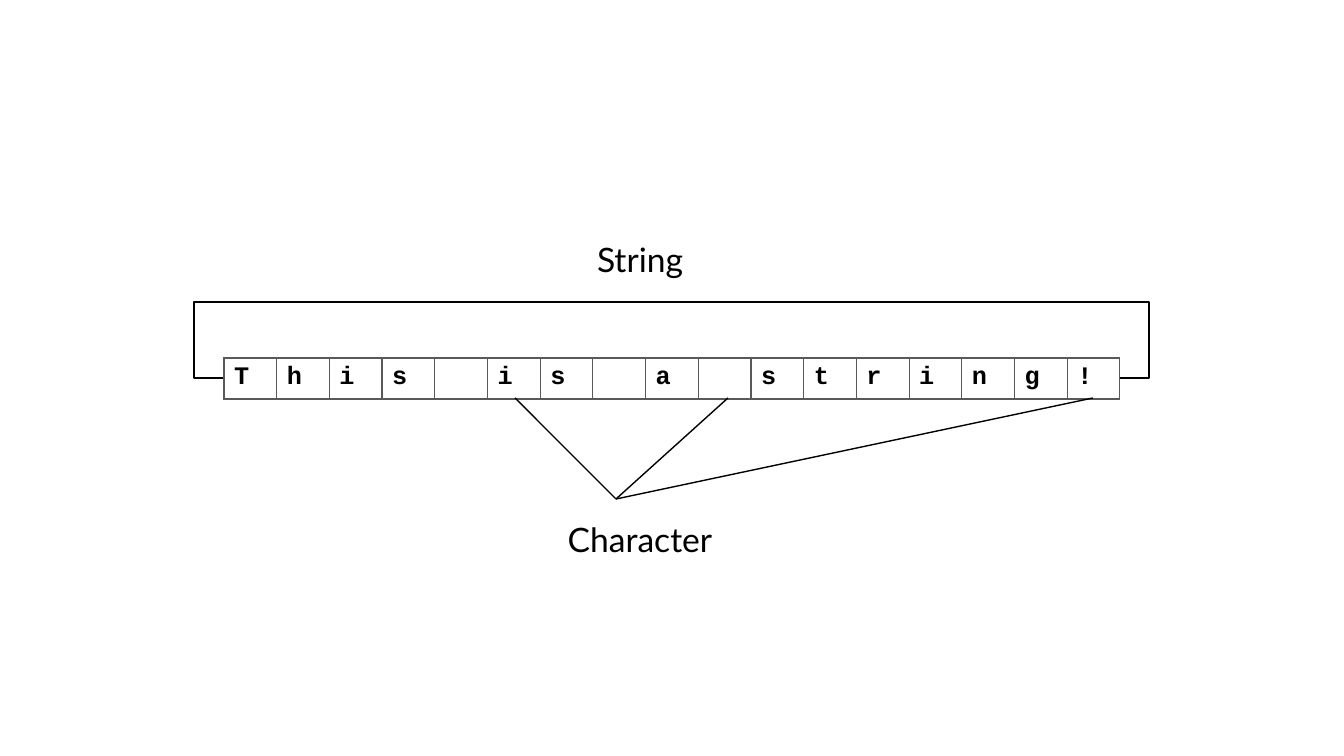
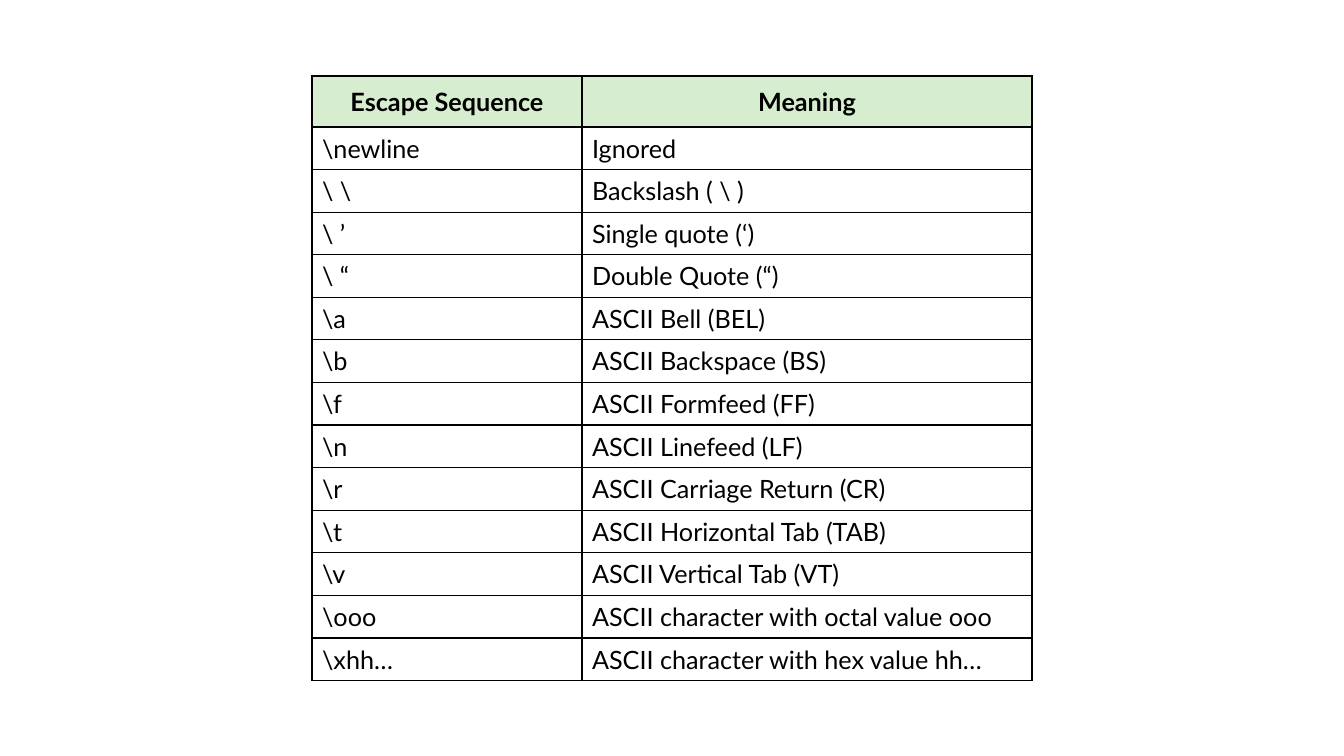
from dataclasses import dataclass

from lxml.etree import SubElement
from pptx import Presentation
from pptx.dml.color import RGBColor
from pptx.enum.shapes import MSO_CONNECTOR, MSO_SHAPE
from pptx.enum.text import MSO_ANCHOR, PP_ALIGN
from pptx.oxml.ns import qn
from pptx.util import Pt


@dataclass(frozen=True)
class Theme:
    black: str = "000000"
    white: str = "FFFFFF"
    grey: str = "595959"
    green: str = "D6EECF"
    font: str = "Lato"
    code_font: str = "Courier New"
    label_size: int = 24
    cell_size: int = 18
    line_width: int = 1


theme = Theme()
PX = 12192000 / 1344


def px(*lengths):
    return [round(length * PX) for length in lengths]


def write(frame, text, size=theme.cell_size, font=theme.font, bold=False,
          align=PP_ALIGN.LEFT, spacing=None):
    paragraph = frame.paragraphs[0]
    paragraph.alignment = align
    paragraph.line_spacing = spacing
    run = paragraph.add_run()
    run.text = text
    run.font.size = Pt(size)
    run.font.name = font
    run.font.bold = bold
    run.font.color.rgb = RGBColor.from_string(theme.black)


presentation = Presentation()
presentation.slide_width, presentation.slide_height = px(1344, 756)
blank = presentation.slide_layouts[6]
string_slide = presentation.slides.add_slide(blank)
escape_slide = presentation.slides.add_slide(blank)

# Bracket around the whole string
bracket = string_slide.shapes.add_shape(MSO_SHAPE.RECTANGLE, *px(194, 302, 955, 76))
bracket.shadow.inherit = False
bracket.fill.background()
bracket.line.color.rgb = RGBColor.from_string(theme.black)
bracket.line.width = Pt(theme.line_width)

# One cell for each character
characters = "This is a string!"
character_table = string_slide.shapes.add_table(
    1, len(characters), *px(224, 358, 896, 41)).table
character_table.rows[0].height = px(41)[0]
for column, character in enumerate(characters):
    character_table.columns[column].width = px(896 / len(characters))[0]
    if character != " ":
        write(character_table.cell(0, column).text_frame, character,
              font=theme.code_font, bold=True)

# Labels above and below the string
for text, left, top, width in (("String", 573, 238, 134), ("Character", 513, 518, 254)):
    label = string_slide.shapes.add_textbox(*px(left, top, width, 74))
    label.text_frame.word_wrap = True
    write(label.text_frame, text, size=theme.label_size,
          align=PP_ALIGN.CENTER, spacing=0.9)

# Lines from three characters to their label
for start_x in (515, 728, 1093):
    line = string_slide.shapes.add_connector(
        MSO_CONNECTOR.STRAIGHT, *px(start_x, 398, 616, 499))
    line.line.color.rgb = RGBColor.from_string(theme.black)
    line.line.width = Pt(theme.line_width)
    SubElement(line.element.spPr, qn("a:effectLst"))

# Escape sequences and their meanings
escape_text = r"""
Escape Sequence | Meaning
\newline | Ignored
\ \ | Backslash ( \ )
\ ’ | Single quote (‘)
\ “ | Double Quote (“)
\a | ASCII Bell (BEL)
\b | ASCII Backspace (BS)
\f | ASCII Formfeed (FF)
\n | ASCII Linefeed (LF)
\r | ASCII Carriage Return (CR)
\t | ASCII Horizontal Tab (TAB)
\v | ASCII Vertical Tab (VT)
\ooo | ASCII character with octal value ooo
\xhh… | ASCII character with hex value hh…
"""
escape_rows = [row.split(" | ") for row in escape_text.strip().splitlines()]
escape_table = escape_slide.shapes.add_table(
    len(escape_rows), 2, *px(312, 76, 720, 605)).table
for column, width in zip(escape_table.columns, px(270, 450)):
    column.width = width
for row, texts in enumerate(escape_rows):
    header = row == 0
    height = 51 if header else 554 / (len(escape_rows) - 1)
    escape_table.rows[row].height = px(height)[0]
    for column, text in enumerate(texts):
        cell = escape_table.cell(row, column)
        cell.vertical_anchor = MSO_ANCHOR.MIDDLE
        write(cell.text_frame, text, bold=header,
              align=PP_ALIGN.CENTER if header else PP_ALIGN.LEFT)

# Borders and fills of both tables
for table, border, header_fill in ((character_table, theme.grey, theme.white),
                                   (escape_table, theme.black, theme.green)):
    table.first_row = table.horz_banding = False
    for row_index, row in enumerate(table.rows):
        for cell in row.cells:
            properties = cell._tc.get_or_add_tcPr()
            for side in ("a:lnL", "a:lnR", "a:lnT", "a:lnB"):
                edge = SubElement(properties, qn(side), w=str(Pt(theme.line_width)))
                SubElement(SubElement(edge, qn("a:solidFill")), qn("a:srgbClr"), val=border)
            cell.fill.solid()
            fill = theme.white if row_index else header_fill
            cell.fill.fore_color.rgb = RGBColor.from_string(fill)

presentation.save("out.pptx")
